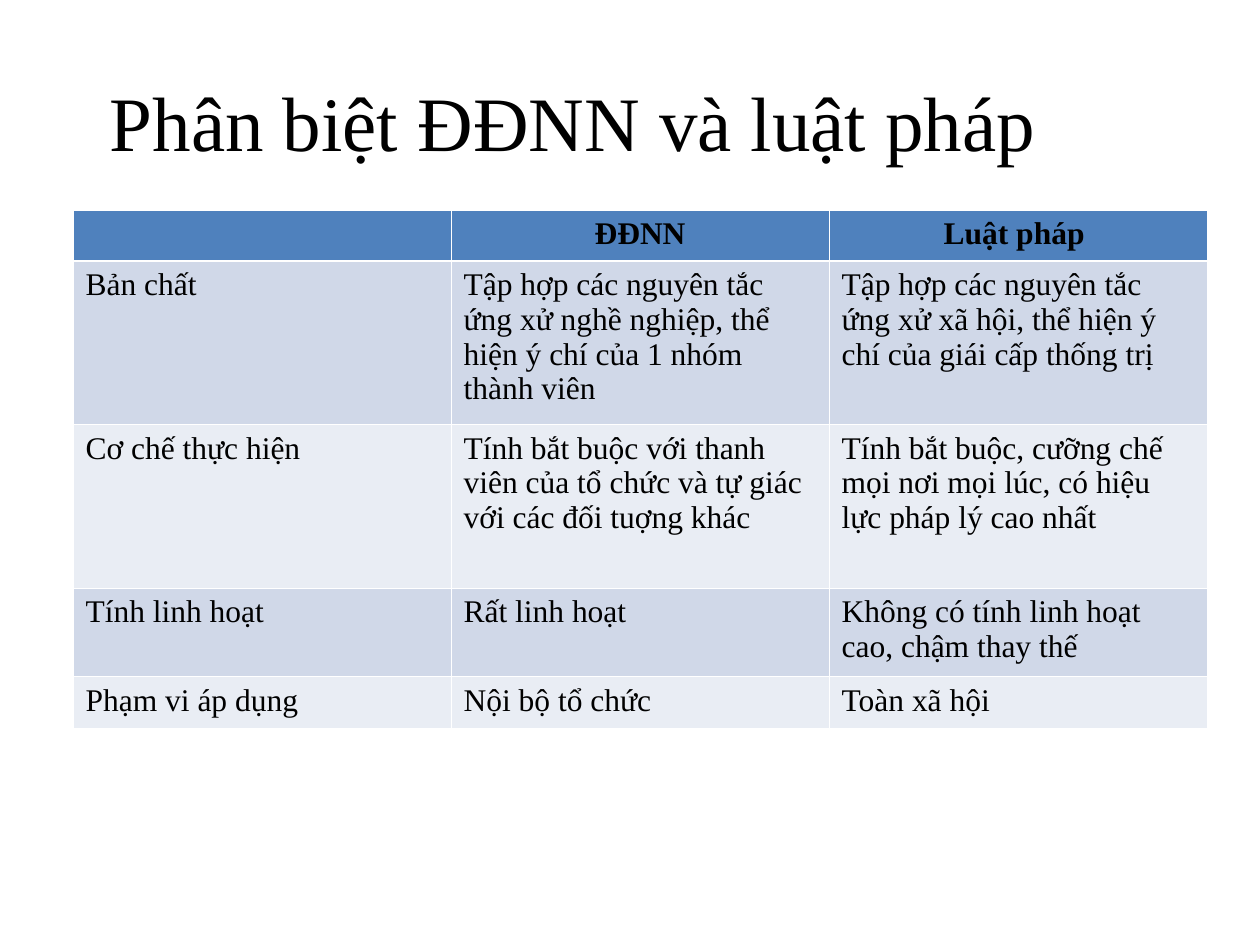
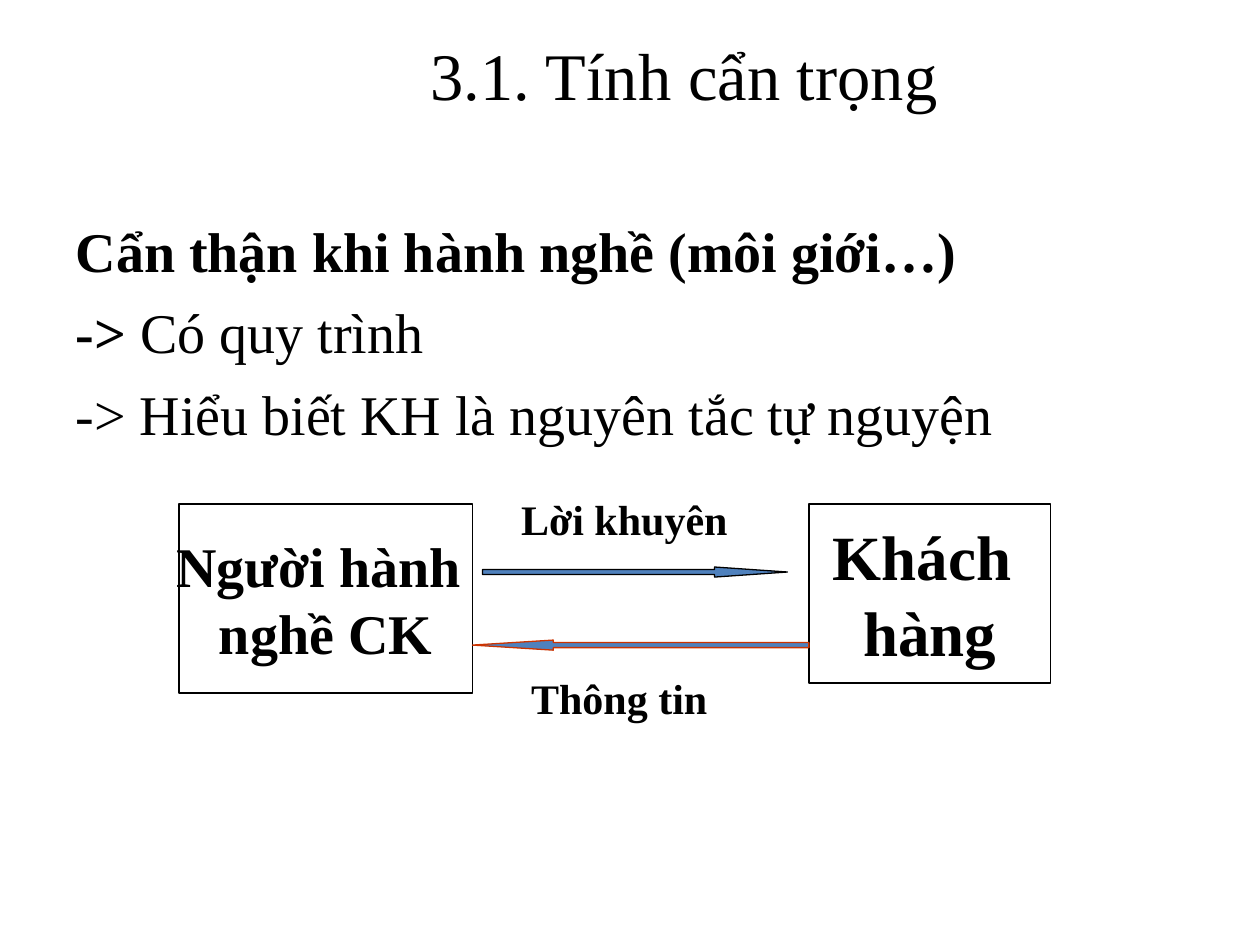
from typing import NamedTuple

from lxml import etree
from pptx import Presentation
from pptx.dml.color import RGBColor
from pptx.enum.shapes import MSO_SHAPE
from pptx.enum.text import MSO_ANCHOR, MSO_AUTO_SIZE, PP_ALIGN
from pptx.oxml.ns import qn
from pptx.util import Inches, Pt

CENTER, LEFT = PP_ALIGN.CENTER, PP_ALIGN.LEFT
MIDDLE = MSO_ANCHOR.MIDDLE
NO_AUTOFIT = MSO_AUTO_SIZE.NONE
RECTANGLE = MSO_SHAPE.RECTANGLE
RIGHT_ARROW, LEFT_ARROW = MSO_SHAPE.RIGHT_ARROW, MSO_SHAPE.LEFT_ARROW

FONT = "Times New Roman"
BLACK = RGBColor(0x00, 0x00, 0x00)
WHITE = RGBColor(0xFF, 0xFF, 0xFF)
BLUE = RGBColor(0x4F, 0x81, 0xBD)
BAND_DARK = RGBColor(0xD0, 0xD8, 0xE8)
BAND_LIGHT = RGBColor(0xE9, 0xED, 0xF4)
RED = RGBColor(0xCC, 0x33, 0x00)

TITLE_ONLY, TITLE_AND_BODY = 5, 1
THIN, THICK = 0.45, 1.47


class Box(NamedTuple):
    left: float
    top: float
    width: float
    height: float

    def lengths(self) -> list:
        return [Inches(v) for v in self]


class Label(NamedTuple):
    box: Box
    lines: list[str]
    size: int
    framed: bool


class Arrow(NamedTuple):
    box: Box
    kind: MSO_SHAPE
    head: float
    line: RGBColor


COMPARISON = [
    ["", "ĐĐNN", "Luật pháp "],
    ["Bản chất",
     "Tập hợp các nguyên tắc ứng xử nghề nghiệp, thể hiện ý chí của 1 nhóm thành viên",
     "Tập hợp các nguyên tắc ứng xử xã hội, thể hiện ý chí của giái cấp thống trị"],
    ["Cơ chế thực hiện",
     "Tính bắt buộc với thanh viên của tổ chức và tự giác với các đối tuợng khác",
     "Tính bắt buộc, cưỡng chế mọi nơi mọi lúc, có hiệu lực pháp lý cao nhất"],
    ["Tính linh hoạt", "Rất linh hoạt", "Không có tính linh hoạt cao, chậm thay thế"],
    ["Phạm vi áp dụng", "Nội bộ tổ chức", "Toàn xã hội"],
]
ROW_HEIGHTS = [0.4, 1.3, 1.3, 0.7, 0.41]

# Each line is a list of (text, bold) runs
PRUDENCE = [
    [("Cẩn thận khi hành nghề (môi giới…)", True)],
    [("-> ", True), ("Có quy trình", False)],
    [("-> Hiểu biết KH là nguyên tắc tự nguyện", False)],
]

LABELS = [
    Label(Box(1.42, 4, 2.33, 1.5), ["Người hành ", "nghề CK"], 32, True),
    Label(Box(6.42, 4, 1.92, 1.42), ["Khách ", "hàng"], 36, True),
    Label(Box(4.08, 3.83, 1.75, 0.58), ["Lời khuyên"], 24, False),
    Label(Box(4.5, 5.33, 0.83, 0.42), ["Thông tin"], 24, False),
]
ARROWS = [
    Arrow(Box(3.83, 4.5, 2.42, 0.08), RIGHT_ARROW, 7.24, BLACK),
    Arrow(Box(3.75, 5.08, 2.67, 0.08), LEFT_ARROW, 8.03, RED),
]


def style(p, size: int, bold: bool | None = None, align=LEFT) -> None:
    p.alignment = align
    p.font.name = FONT
    p.font.size = Pt(size)
    p.font.bold = bold
    p.font.color.rgb = BLACK


def place(sp, box: Box) -> None:
    sp.left, sp.top, sp.width, sp.height = box.lengths()


def add_titled_slide(prs, layout: int, title: str, box: Box, size: int):
    slide = prs.slides.add_slide(prs.slide_layouts[layout])
    sp = slide.shapes.title
    place(sp, box)
    tf = sp.text_frame
    tf.text = title
    tf.auto_size = NO_AUTOFIT
    tf.vertical_anchor = MIDDLE
    style(tf.paragraphs[0], size, align=CENTER)
    return slide


def set_borders(cell, top: float, bottom: float) -> None:
    tc_pr = cell._tc.get_or_add_tcPr()
    for side, width in (("L", THIN), ("R", THIN), ("T", top), ("B", bottom)):
        ln = etree.SubElement(tc_pr, qn(f"a:ln{side}"), w=str(Pt(width)))
        fill = etree.SubElement(ln, qn("a:solidFill"))
        etree.SubElement(fill, qn("a:srgbClr"), val=str(WHITE))


def add_comparison(slide, box: Box) -> None:
    frame = slide.shapes.add_table(len(COMPARISON), len(COMPARISON[0]), *box.lengths())
    table = frame.table
    for i, (texts, height) in enumerate(zip(COMPARISON, ROW_HEIGHTS)):
        header = i == 0
        table.rows[i].height = Inches(height)
        for j, text in enumerate(texts):
            cell = table.cell(i, j)
            set_borders(cell, THICK if i == 1 else THIN, THICK if header else THIN)
            cell.fill.solid()
            cell.fill.fore_color.rgb = BLUE if header else (BAND_LIGHT, BAND_DARK)[i % 2]
            cell.text = text
            style(cell.text_frame.paragraphs[0], 18, header, CENTER if header else LEFT)


def fill_body(sp, box: Box) -> None:
    place(sp, box)
    tf = sp.text_frame
    tf.auto_size = NO_AUTOFIT
    for i, runs in enumerate(PRUDENCE):
        p = tf.add_paragraph() if i else tf.paragraphs[0]
        p_pr = p._p.get_or_add_pPr()
        p_pr.set("marL", "0")
        p_pr.set("indent", "0")
        etree.SubElement(p_pr, qn("a:buNone"))
        p.space_before = Pt(8 if i else 0)
        style(p, 32)
        for text, bold in runs:
            r = p.add_run()
            r.text = text
            r.font.bold = bold


def add_label(slide, label: Label) -> None:
    sp = slide.shapes.add_shape(RECTANGLE, *label.box.lengths())
    sp.shadow.inherit = False
    sp.fill.background()
    if label.framed:
        sp.line.color.rgb = BLACK
        sp.line.width = Pt(0.75)
    else:
        sp.line.fill.background()
    tf = sp.text_frame
    tf.word_wrap = False
    tf.vertical_anchor = MIDDLE
    tf.text = "\n".join(label.lines)
    for p in tf.paragraphs:
        style(p, label.size, True, CENTER)


def add_arrow(slide, arrow: Arrow) -> None:
    sp = slide.shapes.add_shape(arrow.kind, *arrow.box.lengths())
    sp.shadow.inherit = False
    sp.adjustments[0] = 0.5
    sp.adjustments[1] = arrow.head
    sp.fill.solid()
    sp.fill.fore_color.rgb = BLUE
    sp.line.color.rgb = arrow.line
    sp.line.width = Pt(0.75)


def main() -> None:
    prs = Presentation()
    prs.slide_width, prs.slide_height = Inches(10), Inches(7.5)

    # Comparison table
    slide = add_titled_slide(prs, TITLE_ONLY, "Phân biệt ĐĐNN và luật pháp ",
                             Box(0.5, 0.25, 8.25, 1.42), 44)
    add_comparison(slide, Box(0.58, 1.67, 9, sum(ROW_HEIGHTS)))

    # Prudence: list and exchange diagram
    slide = add_titled_slide(prs, TITLE_AND_BODY, "3.1. Tính cẩn trọng",
                             Box(1.17, 0.25, 8.52, 0.67), 38)
    fill_body(slide.placeholders[1], Box(0.5, 1.67, 9.17, 5.67))
    for label in LABELS:
        add_label(slide, label)
    for arrow in ARROWS:
        add_arrow(slide, arrow)

    prs.save("out.pptx")


if __name__ == "__main__":
    main()
